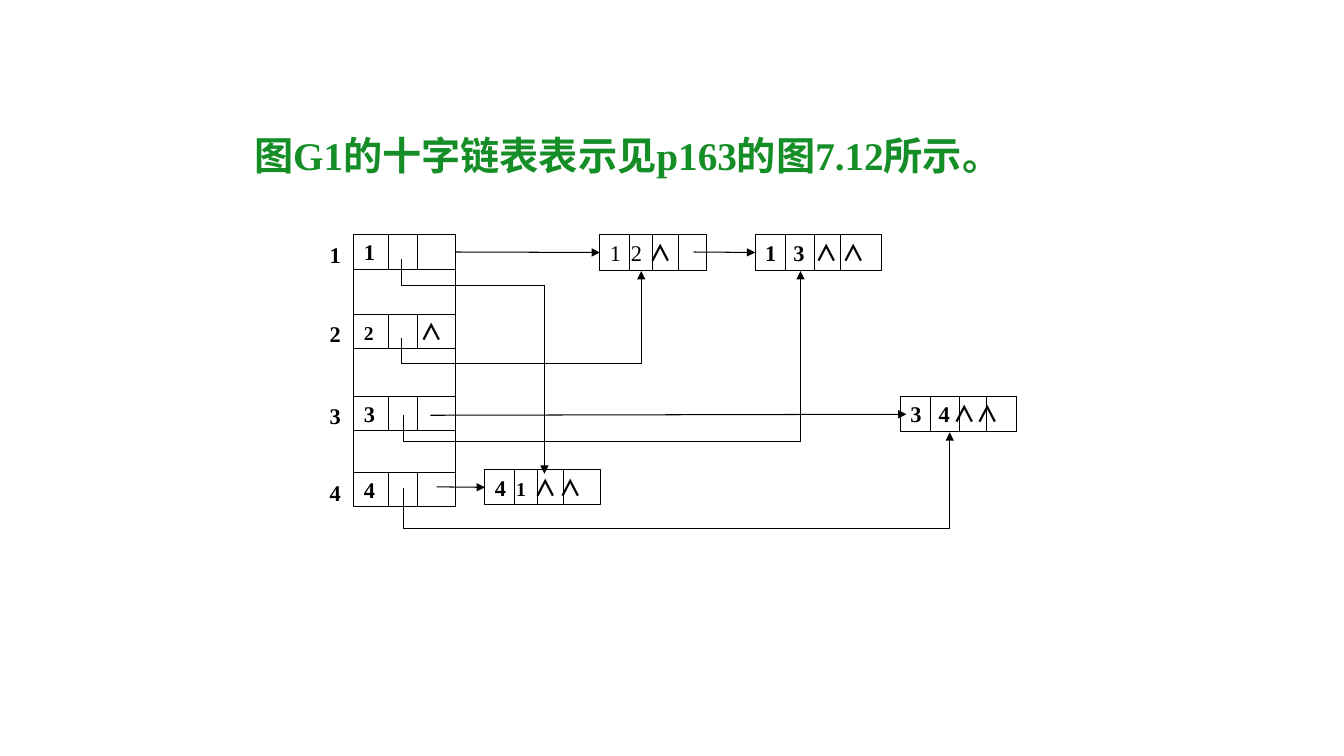
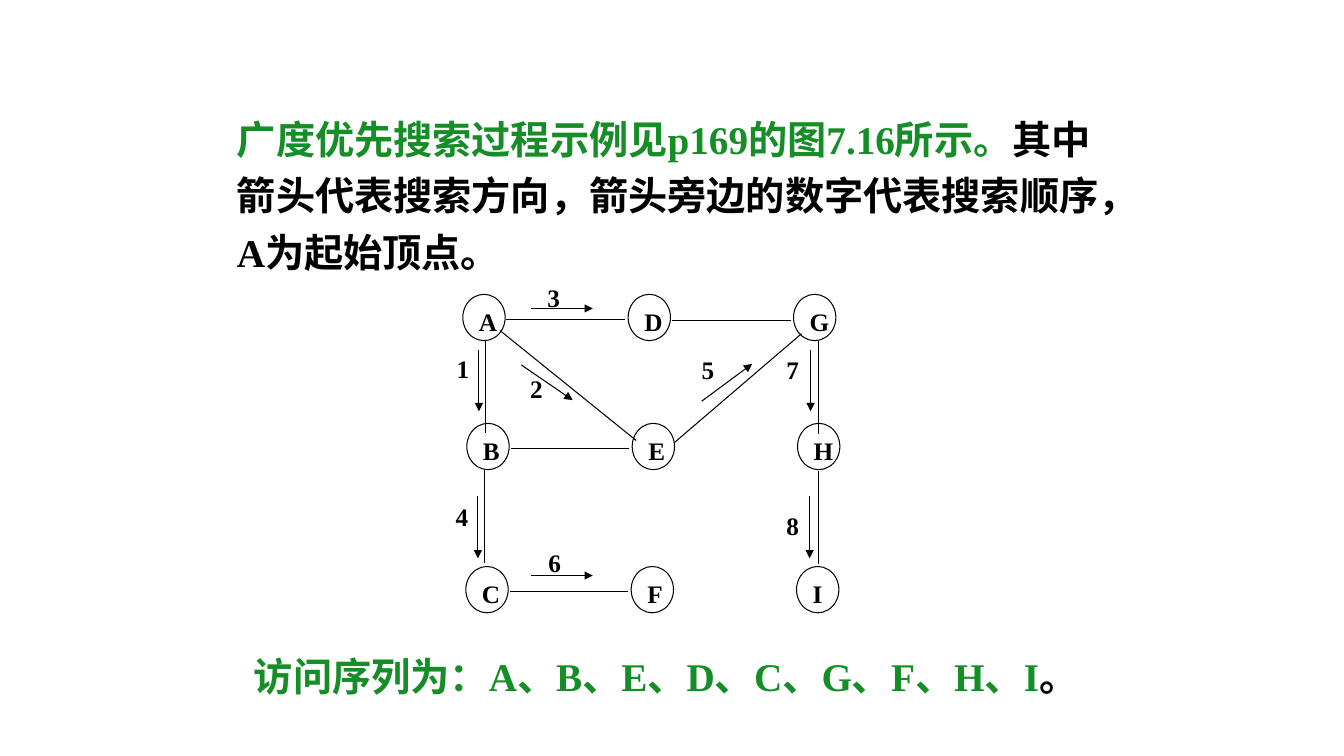
from itertools import pairwise

from lxml.etree import SubElement
from pptx import Presentation
from pptx.dml.color import RGBColor
from pptx.enum.shapes import MSO_CONNECTOR, MSO_SHAPE
from pptx.enum.text import MSO_ANCHOR as Anchor, MSO_AUTO_SIZE as AutoSize, PP_ALIGN as Align
from pptx.oxml.ns import qn
from pptx.util import Inches, Pt

LATIN, HAN = "Times New Roman", "Noto Sans CJK SC"
GREEN, BLACK, WHITE = "168E27", "000000", "FFFFFF"
HEADING_SIZE, CELL_SIZE, VERTEX_SIZE = 28, 16, 18
LINE_WIDTH = 0.75
LEFT, RIGHT = 1, 3


def rgb(value):
    """Turn a hex string into a colour."""
    return RGBColor.from_string(value)


def add_span(para, text, size, color=BLACK, bold=True, font=LATIN):
    """Append a formatted run to a paragraph."""
    span = para.add_run()
    span.text = text
    span.font.size = Pt(size)
    span.font.bold = bold
    span.font.color.rgb = rgb(color)
    span.font.name = font
    SubElement(span.font._element, qn("a:ea")).set("typeface", HAN)


def fill_heading(shape, box, spans, spacing=1.0):
    """Place a heading and write its coloured spans."""
    shape.left, shape.top, shape.width, shape.height = map(Inches, box)
    frame = shape.text_frame
    frame.word_wrap = True
    frame.auto_size = AutoSize.NONE
    frame.vertical_anchor = Anchor.TOP
    para = frame.paragraphs[0]
    para.alignment = Align.LEFT
    para.line_spacing = spacing
    for text, color in spans:
        add_span(para, text, HEADING_SIZE, color)


def add_label(page, left, top, text, size, side=0.34):
    """Add a short text label."""
    label = page.shapes.add_textbox(*map(Inches, (left, top, side, side)))
    label.text_frame.word_wrap = True
    add_span(label.text_frame.paragraphs[0], text, size)


def add_outline(page, kind, box):
    """Add a white shape with a thin black outline."""
    shape = page.shapes.add_shape(kind, *map(Inches, box))
    shape.shadow.inherit = False
    shape.fill.solid()
    shape.fill.fore_color.rgb = rgb(WHITE)
    shape.line.color.rgb = rgb(BLACK)
    shape.line.width = Pt(LINE_WIDTH)
    shape.text_frame.vertical_anchor = Anchor.TOP
    shape.text_frame.paragraphs[0].alignment = Align.LEFT
    return shape


def add_line(page, start, end, arrow=False):
    """Draw a straight line, with an arrowhead at its end if asked."""
    line = page.shapes.add_connector(MSO_CONNECTOR.STRAIGHT, *map(Inches, (*start, *end)))
    line.line.color.rgb = rgb(BLACK)
    line.line.width = Pt(LINE_WIDTH)
    if arrow:
        SubElement(line.line._get_or_add_ln(), qn("a:tailEnd")).set("type", "triangle")
    SubElement(line._element.spPr, qn("a:effectLst"))
    return line


def add_route(page, points):
    """Draw a bent line through the points, ending in an arrowhead."""
    legs = list(pairwise(points))
    for start, end in legs:
        add_line(page, start, end, arrow=(start, end) == legs[-1])


def add_record(page, box, fields, dividers):
    """Draw a record of fields, each (offset, text, size, bold), with dividers."""
    left, top, _, height = box
    record = add_outline(page, MSO_SHAPE.RECTANGLE, box)
    frame = record.text_frame
    frame.margin_top = frame.margin_bottom = 0
    frame.vertical_anchor = Anchor.MIDDLE
    para = frame.paragraphs[0]
    stops = SubElement(para._p.get_or_add_pPr(), qn("a:tabLst"))
    for offset, text, size, bold in fields:
        if offset:
            stop = SubElement(stops, qn("a:tab"))
            stop.set("pos", str(Inches(offset)))
            stop.set("algn", "l")
        font = HAN if text == "∧" else LATIN
        add_span(para, "\t" + text if offset else text, size, bold=bold, font=font)
    for offset in dividers:
        add_line(page, (left + offset, top), (left + offset, top + height))
    return record


def draw_orthogonal_list(page, left, top):
    """Draw the vertex table, the arc records and the links between them."""
    def at(x, y):
        return left + x, top + y

    row_width, row_height, arc_height = 1.01, 0.34, 0.35
    row_tops = (0.33, 1.12, 1.93, 2.69)
    rows = []
    for number, row_top in enumerate(row_tops, 1):
        size = 14 if number == 2 else CELL_SIZE
        fields = [(0, str(number), size, True)]
        if number == 2:
            fields.append((0.56, "∧", CELL_SIZE, True))
        box = (*at(0.51, row_top), row_width, row_height)
        rows.append(add_record(page, box, fields, (0.34, 0.63)))
        add_label(page, *at(0.17, row_top + 0.01), str(number), CELL_SIZE)
    for upper, lower in pairwise(row_tops):
        for x in (0.51, 0.51 + row_width):
            add_line(page, at(x, upper + row_height), at(x, lower))

    narrow, wide = (0.29, 0.52, 0.78), (0.3, 0.59, 0.85)
    arcs = {}
    for name, x, y, width, dividers, offsets, marks in (
        ("12", 2.95, 0.33, 1.06, narrow, (0, 0.21, 0.39), "12∧"),
        ("13", 4.49, 0.33, 1.25, wide, (0, 0.28, 0.5, 0.77), "13∧∧"),
        ("41", 1.81, 2.66, 1.15, narrow, (0, 0.21, 0.39, 0.64), "41∧∧"),
        ("34", 5.93, 1.93, 1.15, wide, (0, 0.28, 0.43, 0.66), "34∧∧"),
    ):
        fields = [
            (offset, mark, 14 if (name, mark) == ("41", "1") else CELL_SIZE, name != "12" or mark == "∧")
            for offset, mark in zip(offsets, marks)
        ]
        arcs[name] = add_record(page, (*at(x, y), width, arc_height), fields, dividers)

    first = add_line(page, at(1.52, 0.5), at(2.95, 0.5), arrow=True)
    first.begin_connect(rows[0], RIGHT)
    first.end_connect(arcs["12"], LEFT)
    add_line(page, at(3.88, 0.5), at(4.49, 0.5), arrow=True).end_connect(arcs["13"], LEFT)
    add_line(page, at(1.33, 2.83), at(1.81, 2.83), arrow=True).end_connect(arcs["41"], LEFT)
    add_line(page, at(1.27, 2.12), at(5.99, 2.11), arrow=True)
    for x, y, bend, target, end in (
        (0.98, 0.57, 0.83, 2.4, 2.7),
        (0.98, 1.35, 1.61, 3.36, 0.69),
        (1, 2.12, 2.38, 4.94, 0.69),
        (1, 2.84, 3.24, 6.42, 2.29),
    ):
        add_route(page, [at(x, y), at(x, bend), at(target, bend), at(target, end)])


def draw_search_graph(page, left, top):
    """Draw the graph with its search arrows and their order."""
    def at(x, y):
        return left + x, top + y

    step = 1.64
    for letters, x, y in (("ADG", 0.59, 0.92), ("BEH", 0.63, 2.2), ("CFI", 0.62, 3.62)):
        for column, letter in enumerate(letters):
            vertex = add_outline(page, MSO_SHAPE.OVAL, (*at(x + column * step, y), 0.42, 0.46))
            vertex.text_frame.word_wrap = True
            add_span(vertex.text_frame.paragraphs[0], letter, VERTEX_SIZE)

    edges = (
        ((1.02, 1.17), (2.2, 1.17)),
        ((2.67, 1.18), (3.85, 1.18)),
        ((1.07, 2.45), (2.24, 2.45)),
        ((1.06, 3.87), (2.23, 3.87)),
        ((0.82, 1.37), (0.82, 2.3)),
        ((4.12, 1.38), (4.12, 2.31)),
        ((0.81, 2.66), (0.81, 3.59)),
        ((4.12, 2.67), (4.12, 3.6)),
        ((2.69, 2.39), (3.95, 1.31)),
        ((0.96, 1.28), (2.31, 2.37)),
    )
    for start, end in edges:
        add_line(page, at(*start), at(*end))

    visits = (
        ((0.75, 1.47), (0.75, 2.08), (0.43, 1.46)),
        ((1.17, 1.62), (1.68, 1.97), (1.16, 1.65)),
        ((1.27, 1.06), (1.88, 1.06), (1.33, 0.75)),
        ((0.74, 2.92), (0.74, 3.54), (0.42, 2.92)),
        ((2.96, 1.98), (3.46, 1.61), (2.86, 1.47)),
        ((1.27, 3.71), (1.88, 3.71), (1.34, 3.38)),
        ((4.04, 1.47), (4.04, 2.08), (3.7, 1.47)),
        ((4.03, 2.92), (4.03, 3.54), (3.7, 3.01)),
    )
    for order, (start, end, label) in enumerate(visits, 1):
        add_line(page, at(*start), at(*end), arrow=True)
        add_label(page, *at(*label), str(order), VERTEX_SIZE, 0.42)


def build_list_slide(deck):
    """Build the slide on the orthogonal list."""
    page = deck.slides.add_slide(deck.slide_layouts[5])
    heading = [("图G1的十字链表表示见p163的图7.12所示。", GREEN)]
    fill_heading(page.shapes.title, (2.42, 1.25, 8.92, 0.57), heading)
    draw_orthogonal_list(page, 3, 2)


def build_search_slide(deck):
    """Build the slide on breadth-first search."""
    page = deck.slides.add_slide(deck.slide_layouts[5])
    heading = [
        ("广度优先搜索过程示例见p169的图7.16所示。", GREEN),
        ("其中箭头代表搜索方向，箭头旁边的数字代表搜索顺序，A为起始顶点。", BLACK),
    ]
    fill_heading(page.shapes.title, (2.25, 1, 9, 1.78), heading, 1.2)
    draw_search_graph(page, 4, 2)
    box = (2.42, 6.42, 8.83, 0.57)
    sequence = [("访问序列为：A、B、E、D、C、G、F、H、I", GREEN), ("。", BLACK)]
    fill_heading(page.shapes.add_textbox(*map(Inches, box)), box, sequence)


def main():
    """Build and save the deck."""
    deck = Presentation()
    deck.slide_width, deck.slide_height = Inches(13.33), Inches(7.5)
    build_list_slide(deck)
    build_search_slide(deck)
    deck.save("out.pptx")


if __name__ == "__main__":
    main()
